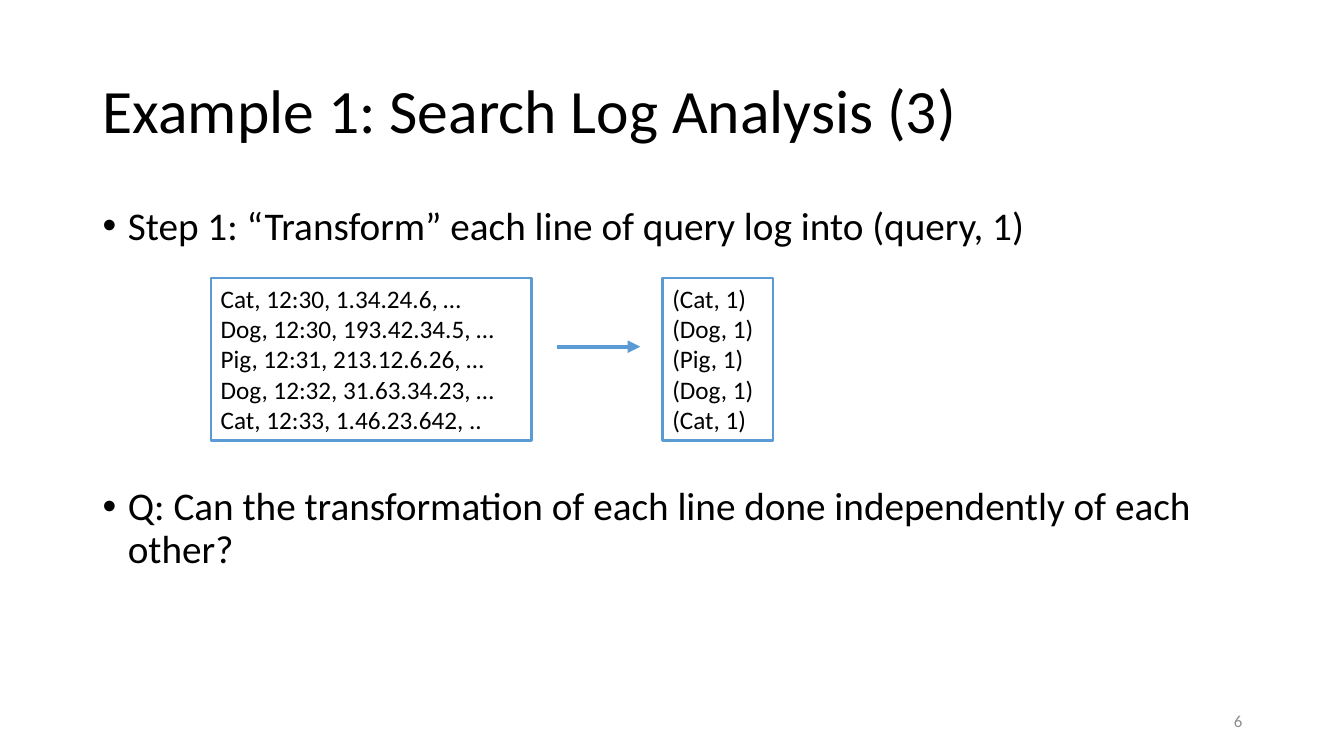
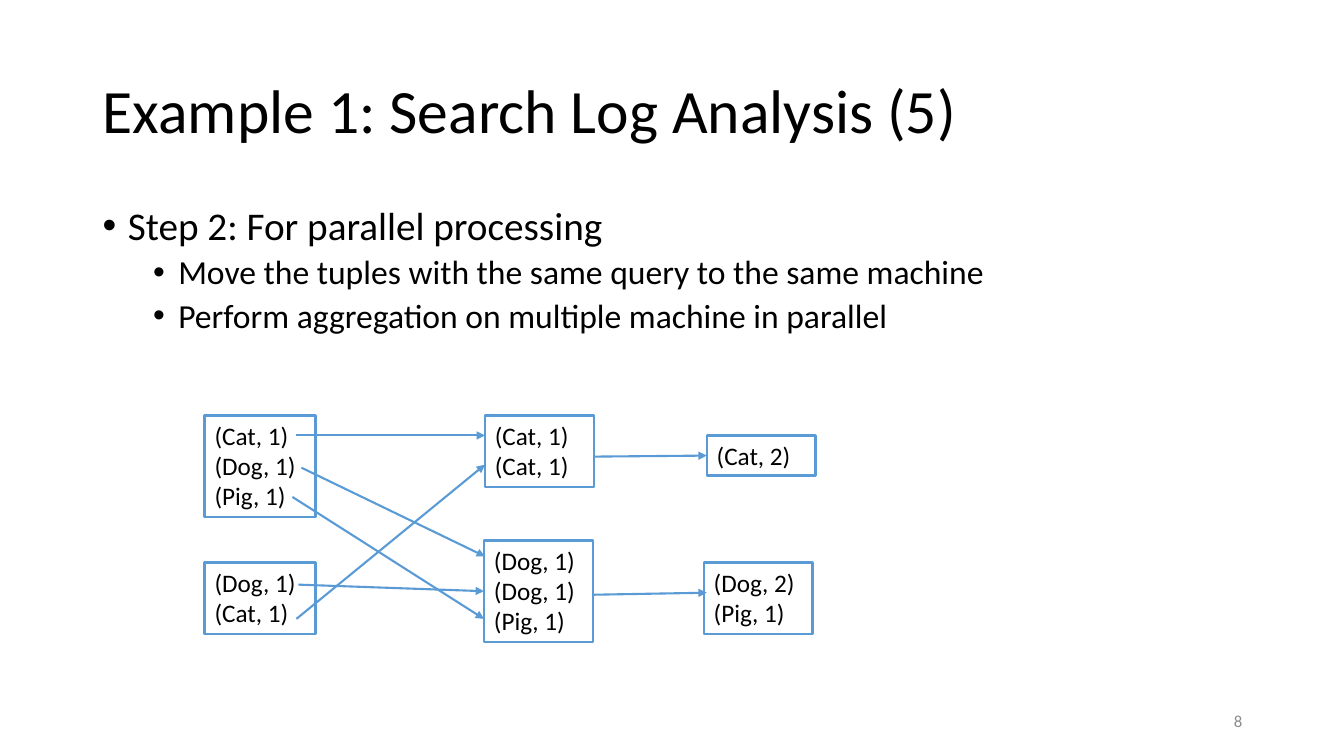
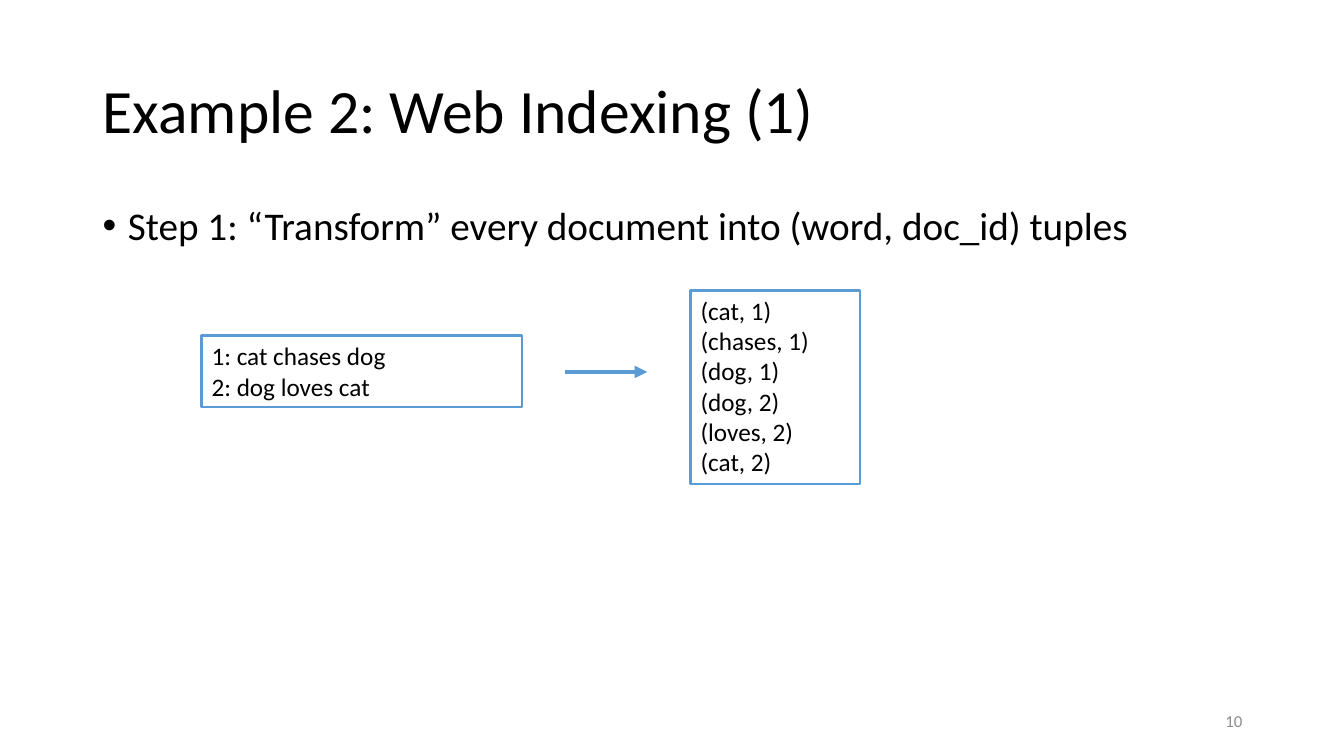
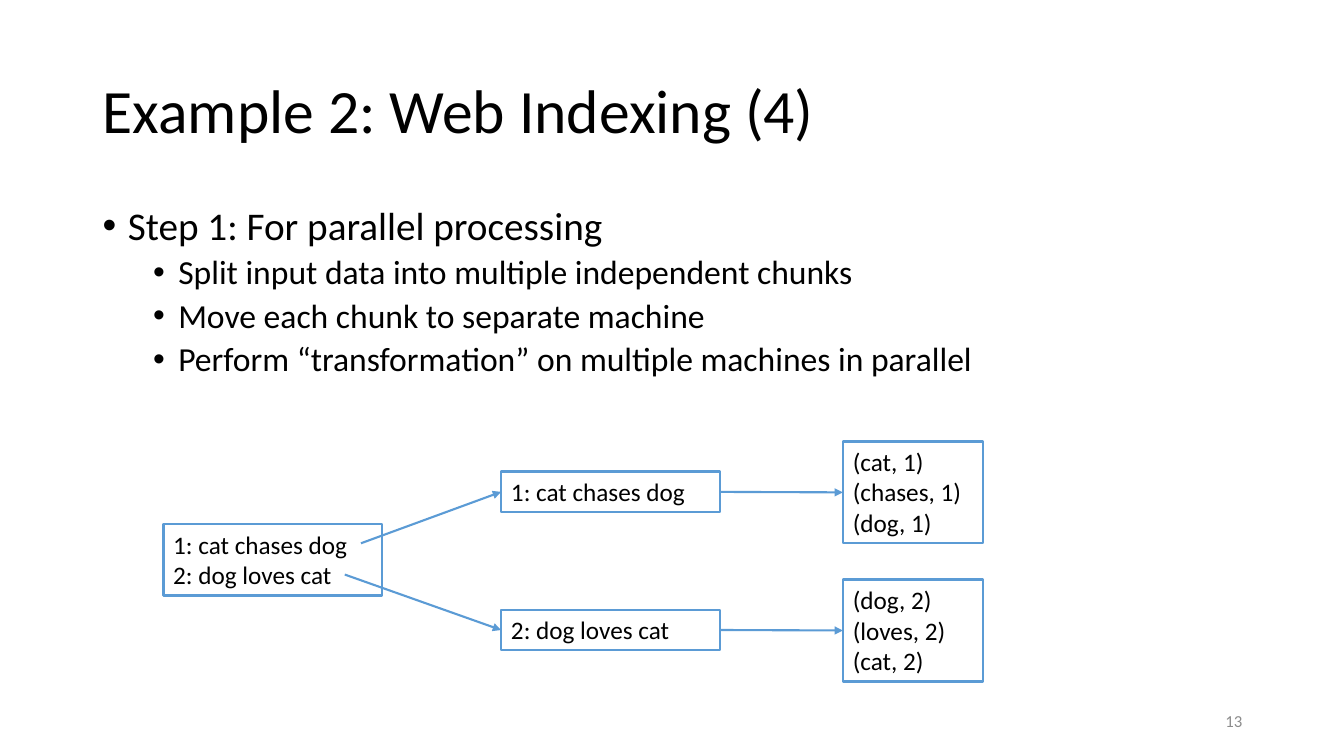
from lxml import etree
from pptx import Presentation
from pptx.dml.color import RGBColor
from pptx.enum.shapes import MSO_CONNECTOR, MSO_SHAPE
from pptx.enum.text import MSO_ANCHOR, PP_ALIGN
from pptx.oxml.ns import qn
from pptx.util import Inches, Pt

BLACK = RGBColor(0x00, 0x00, 0x00)
GRAY = RGBColor(0x8C, 0x8C, 0x8C)
BLUE = RGBColor(0x5B, 0x9B, 0xD5)
FONT = "Calibri"
RECT = MSO_SHAPE.RECTANGLE
STRAIGHT = MSO_CONNECTOR.STRAIGHT
TOP, MIDDLE = MSO_ANCHOR.TOP, MSO_ANCHOR.MIDDLE
LEFT, RIGHT = PP_ALIGN.LEFT, PP_ALIGN.RIGHT
LEFT_SIDE, RIGHT_SIDE = 1, 3
PAD, LINE = 0.1, 0.303
# Size, indent and space before for each bullet level
LEVELS = [(28, 0.25, 10), (24, 0.75, 5)]


class Deck:
    def __init__(self):
        self.file = Presentation()
        self.file.slide_width = Inches(13.33)
        self.file.slide_height = Inches(7.5)
        self.slide = None

    def page(self, title, number):
        """Start a slide with its title and page number."""
        self.slide = self.file.slides.add_slide(self.file.slide_layouts[6])
        head = self.text(0.92, 0.4, 11.5, 1.45, MIDDLE).paragraphs[0]
        head.line_spacing = 0.9
        self.fill(head, title, 44)
        foot = self.text(9.42, 6.95, 3, 0.4, MIDDLE).paragraphs[0]
        self.fill(foot, str(number), 12, GRAY, RIGHT)

    def text(self, x, y, w, h, anchor=TOP):
        shape = self.slide.shapes.add_textbox(
            Inches(x), Inches(y), Inches(w), Inches(h))
        frame = shape.text_frame
        frame.word_wrap = True
        frame.vertical_anchor = anchor
        return frame

    def fill(self, para, words, size, color=BLACK, align=LEFT):
        para.text = words
        para.alignment = align
        para.font.name = FONT
        para.font.size = Pt(size)
        para.font.color.rgb = color

    def body(self, *items):
        """Write bullets from (level, words) or (level, words, space before)."""
        frame = self.text(0.92, 2, 11.5, 4.76)
        for i, (level, words, *gap) in enumerate(items):
            para = frame.add_paragraph() if i else frame.paragraphs[0]
            size, indent, space = LEVELS[level]
            para.level = level
            props = para._p.get_or_add_pPr()
            props.set("marL", str(Inches(indent)))
            props.set("indent", str(-Inches(0.25)))
            etree.SubElement(props, qn("a:buFont"), typeface="Arial")
            etree.SubElement(props, qn("a:buChar"), char="•")
            para.line_spacing = 0.9
            if i:
                para.space_before = Pt(gap[0] if gap else space)
            self.fill(para, words, size)

    def box(self, x, y, w, *lines):
        """Draw an outlined box as tall as its lines."""
        height = round(2 * PAD / 2 + LINE * len(lines), 2)
        shape = self.slide.shapes.add_shape(
            RECT, Inches(x), Inches(y), Inches(w), Inches(height))
        shape.shadow.inherit = False
        shape.fill.background()
        shape.line.color.rgb = BLUE
        shape.line.width = Pt(1.75)
        frame = shape.text_frame
        frame.word_wrap = True
        frame.vertical_anchor = TOP
        for i, words in enumerate(lines):
            para = frame.add_paragraph() if i else frame.paragraphs[0]
            self.fill(para, words, 18)
        return shape

    def arrow(self, start, end, weight=1.5):
        """Join two ends, each a point or a box (right side to left side)."""
        line = self.slide.shapes.add_connector(STRAIGHT, 0, 0, 0, 0)
        if isinstance(start, tuple):
            line.begin_x, line.begin_y = map(Inches, start)
        else:
            line.begin_connect(start, RIGHT_SIDE)
        if isinstance(end, tuple):
            line.end_x, line.end_y = map(Inches, end)
        else:
            line.end_connect(end, LEFT_SIDE)
        line.line.color.rgb = BLUE
        line.line.width = Pt(weight)
        etree.SubElement(line.line._get_or_add_ln(), qn("a:tailEnd"),
                         type="triangle")
        etree.SubElement(line._element.spPr, qn("a:effectLst"))


def log_map(deck):
    deck.page("Example 1: Search Log Analysis (3)", 6)
    deck.body(
        (0, "Step 1: “Transform” each line of query log into (query, 1)"),
        (0, "Q: Can the transformation of each line done independently "
            "of each other?", 170))
    deck.box(2.09, 2.76, 3.18,
             "Cat, 12:30, 1.34.24.6, …", "Dog, 12:30, 193.42.34.5, …",
             "Pig, 12:31, 213.12.6.26, …", "Dog, 12:32, 31.63.34.23, …",
             "Cat, 12:33, 1.46.23.642, ..")
    deck.box(6.57, 2.76, 1.1,
             "(Cat, 1)", "(Dog, 1)", "(Pig, 1)", "(Dog, 1)", "(Cat, 1)")
    deck.arrow((5.52, 3.44), (6.35, 3.44), 3)


def log_reduce(deck):
    deck.page("Example 1: Search Log Analysis (5)", 8)
    deck.body(
        (0, "Step 2: For parallel processing"),
        (1, "Move the tuples with the same query to the same machine"),
        (1, "Perform aggregation on multiple machine in parallel"))
    deck.box(2.03, 4.12, 1.1, "(Cat, 1)", "(Dog, 1)", "(Pig, 1)")
    deck.box(2.03, 5.58, 1.1, "(Dog, 1)", "(Cat, 1)")
    deck.box(4.81, 4.12, 1.08, "(Cat, 1)", "(Cat, 1)")
    dogs = deck.box(4.8, 5.36, 1.08, "(Dog, 1)", "(Dog, 1)", "(Pig, 1)")
    total = deck.box(7.01, 4.32, 1.08, "(Cat, 2)")
    deck.box(6.98, 5.58, 1.08, "(Dog, 2)", "(Pig, 1)")
    for start, end in [
            ((2.94, 4.32), (4.81, 4.32)),
            ((2.9, 4.93), (4.8, 6.14)),
            ((2.94, 6.14), (4.81, 4.61)),
            ((2.99, 4.64), (4.81, 5.52)),
            ((2.96, 5.8), dogs),
            ((5.89, 4.53), total),
            ((5.89, 5.9), (7.01, 5.88))]:
        deck.arrow(start, end)


def web_map(deck):
    deck.page("Example 2: Web Indexing (1)", 10)
    deck.body(
        (0, "Step 1: “Transform” every document into (word, doc_id) tuples"))
    deck.box(2, 3.33, 3.18, "1: cat chases dog", "2: dog loves cat")
    deck.box(6.85, 2.88, 1.68, "(cat, 1)", "(chases, 1)", "(dog, 1)",
             "(dog, 2)", "(loves, 2)", "(cat, 2)")
    deck.arrow((5.6, 3.69), (6.42, 3.69), 3)


def web_split(deck):
    deck.page("Example 2: Web Indexing (4)", 13)
    deck.body(
        (0, "Step 1: For parallel processing"),
        (1, "Split input data into multiple independent chunks"),
        (1, "Move each chunk to separate machine"),
        (1, "Perform “transformation” on multiple machines in parallel"))
    docs = ["1: cat chases dog", "2: dog loves cat"]
    pairs = [("(cat, 1)", "(chases, 1)", "(dog, 1)"),
             ("(dog, 2)", "(loves, 2)", "(cat, 2)")]
    starts = [(3.58, 5.39), (3.42, 5.7)]
    deck.box(1.62, 5.2, 2.17, *docs)
    for i, (doc, words, start) in enumerate(zip(docs, pairs, starts)):
        drop = 1.37 * i
        chunk = deck.box(4.97, 4.68 + drop, 2.17, doc)
        result = deck.box(8.36, 4.38 + drop, 1.39, *words)
        deck.arrow(start, chunk)
        deck.arrow(chunk, result)


def main():
    deck = Deck()
    for build in (log_map, log_reduce, web_map, web_split):
        build(deck)
    deck.file.save("out.pptx")


if __name__ == "__main__":
    main()
